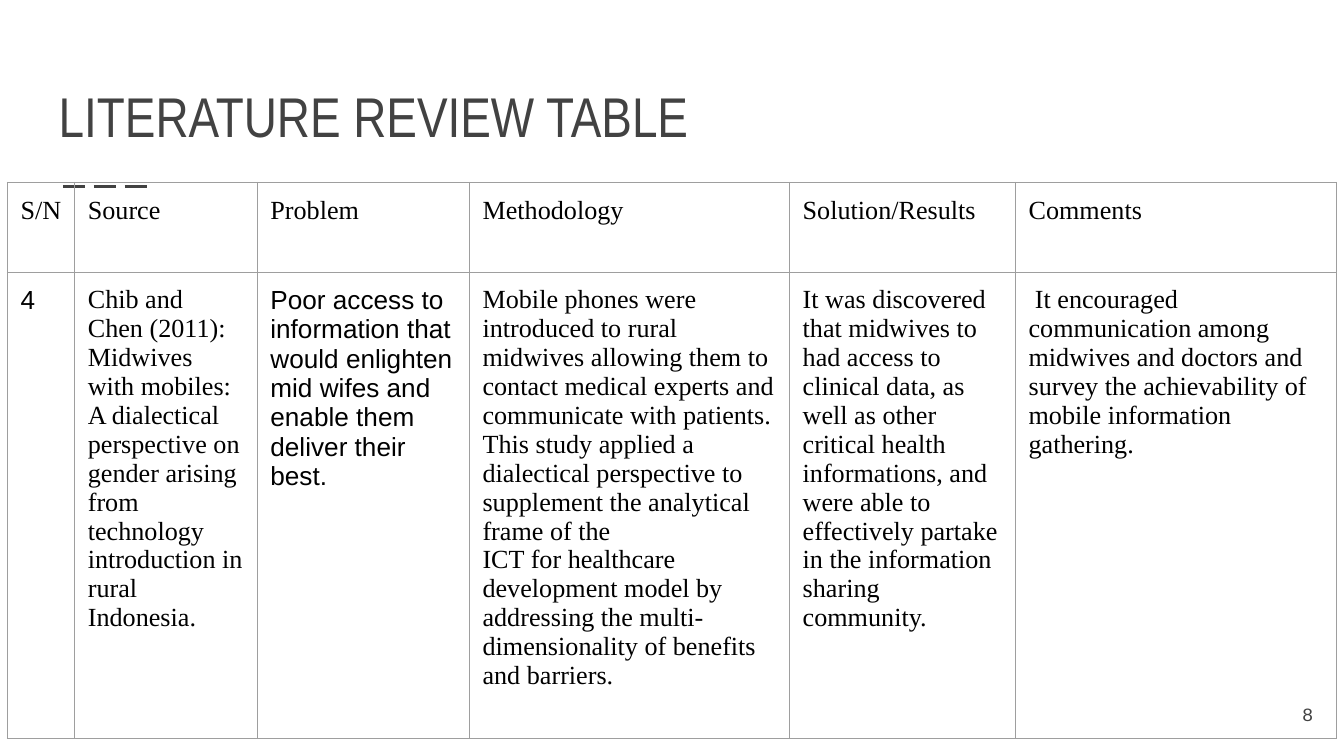
from dataclasses import dataclass

from lxml import etree
from pptx import Presentation
from pptx.dml.color import RGBColor
from pptx.enum.dml import MSO_LINE_DASH_STYLE as Dash
from pptx.enum.shapes import MSO_CONNECTOR as Connector
from pptx.enum.text import MSO_ANCHOR as Anchor, PP_ALIGN as Align
from pptx.oxml.ns import qn
from pptx.util import Cm, Pt


@dataclass(frozen=True)
class Theme:
    ink: RGBColor = RGBColor(0x42, 0x42, 0x42)
    body: RGBColor = RGBColor(0, 0, 0)
    border: str = "9E9E9E"
    title_font: str = "Arial Narrow"
    serif: str = "Times New Roman"
    sans: str = "Arial"
    number_font: str = "Courier New"
    title_size: int = 30
    body_size: int = 14
    number_size: int = 10
    border_width: float = 0.75
    inset: float = 0.25


THEME = Theme()
COLUMN_WIDTHS = [1.27, 3.45, 4.01, 6.05, 4.27, 6.07]
ROW_HEIGHTS = [1.7, 8.15]
HEADINGS = ["S/N", "Source", "Problem", "Methodology", "Solution/Results", "Comments"]
STUDY = [
    "4",
    "Chib and Chen (2011): Midwives with mobiles: A dialectical perspective on "
    "gender arising from technology introduction in rural Indonesia.",
    "Poor access to information that would enlighten mid wifes and enable them "
    "deliver their best.",
    "Mobile phones were introduced to rural midwives allowing them to contact "
    "medical experts and communicate with patients. This study applied a "
    "dialectical perspective to supplement the analytical frame of the\n"
    "ICT for healthcare development model by addressing the multi-\n"
    "dimensionality of benefits and barriers.",
    "It was discovered that midwives to had access to clinical data, as well as "
    "other critical health informations, and were able to effectively partake in "
    "the information sharing community.",
    "It encouraged communication among midwives and doctors and survey the "
    "achievability of mobile information gathering.",
]
SANS_COLUMNS = {0, 2}  # study cells set in the sans font
COMMENT_INDENT = Cm(0.12)


def style_text(frame, font, size, color, align=Align.LEFT):
    for para in frame.paragraphs:
        para.alignment = align
        for span in para.runs:
            span.font.name = font
            span.font.size = Pt(size)
            span.font.color.rgb = color


def set_margins(target):
    for side in ("left", "top", "right", "bottom"):
        setattr(target, f"margin_{side}", Cm(THEME.inset))


def add_label(page, box, text, font, size, anchor, align=Align.LEFT):
    frame = page.shapes.add_textbox(*map(Cm, box)).text_frame
    frame.word_wrap = True
    frame.vertical_anchor = anchor
    set_margins(frame)
    frame.text = text
    style_text(frame, font, size, THEME.ink, align)


def add_rule(page, left, top, width):
    rule = page.shapes.add_connector(
        Connector.STRAIGHT, Cm(left), Cm(top), Cm(left + width), Cm(top))
    rule.line.color.rgb = THEME.ink
    rule.line.width = Pt(1.5)
    rule.line.dash_style = Dash.LONG_DASH
    etree.SubElement(rule._element.spPr, qn("a:effectLst"))


def add_borders(cell):
    properties = cell._tc.get_or_add_tcPr()
    for index, side in enumerate(("lnL", "lnR", "lnT", "lnB")):
        line = etree.Element(qn(f"a:{side}"), w=str(Pt(THEME.border_width)))
        fill = etree.SubElement(line, qn("a:solidFill"))
        etree.SubElement(fill, qn("a:srgbClr"), val=THEME.border)
        properties.insert(index, line)


def add_review_table(page, box):
    rows = [HEADINGS, STUDY]
    table = page.shapes.add_table(len(rows), len(HEADINGS), *map(Cm, box)).table
    table.first_row = table.horz_banding = False
    for column, width in zip(table.columns, COLUMN_WIDTHS):
        column.width = Cm(width)
    for row, height in zip(table.rows, ROW_HEIGHTS):
        row.height = Cm(height)

    for row_index, texts in enumerate(rows):
        for column_index, text in enumerate(texts):
            cell = table.cell(row_index, column_index)
            cell.fill.background()
            set_margins(cell)
            add_borders(cell)
            cell.text_frame.text = text
            is_sans = row_index == 1 and column_index in SANS_COLUMNS
            style_text(cell.text_frame, THEME.sans if is_sans else THEME.serif,
                       THEME.body_size, THEME.body)

    # The comment starts with a slight first-line indent
    comment = table.cell(1, len(HEADINGS) - 1).text_frame.paragraphs[0]
    comment._p.get_or_add_pPr().set("indent", str(COMMENT_INDENT))


def main():
    deck = Presentation()
    deck.slide_width, deck.slide_height = Cm(25.4), Cm(14.29)
    page = deck.slides.add_slide(deck.slide_layouts[6])

    # Heading with its dashed rule
    add_rule(page, 1.19, 3.53, 1.7)
    add_label(page, (0.86, 1.04, 23.67, 2.03), "LITERATURE REVIEW TABLE",
              THEME.title_font, THEME.title_size, Anchor.BOTTOM)

    # Literature table
    add_review_table(page, (0.14, 3.45, sum(COLUMN_WIDTHS), sum(ROW_HEIGHTS)))

    # Page number
    add_label(page, (23.55, 12.95, 1.52, 1.09), "8", THEME.number_font,
              THEME.number_size, Anchor.MIDDLE, Align.RIGHT)
    deck.save("out.pptx")


if __name__ == "__main__":
    main()
